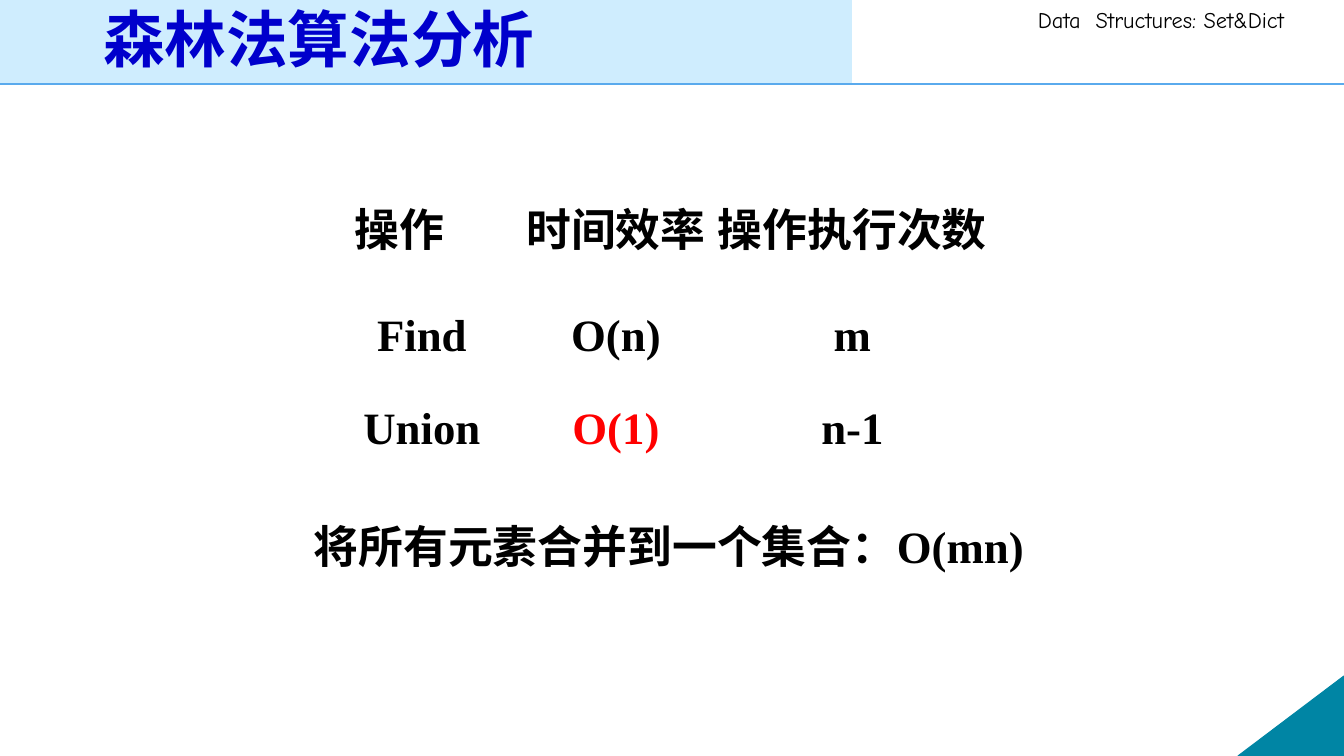
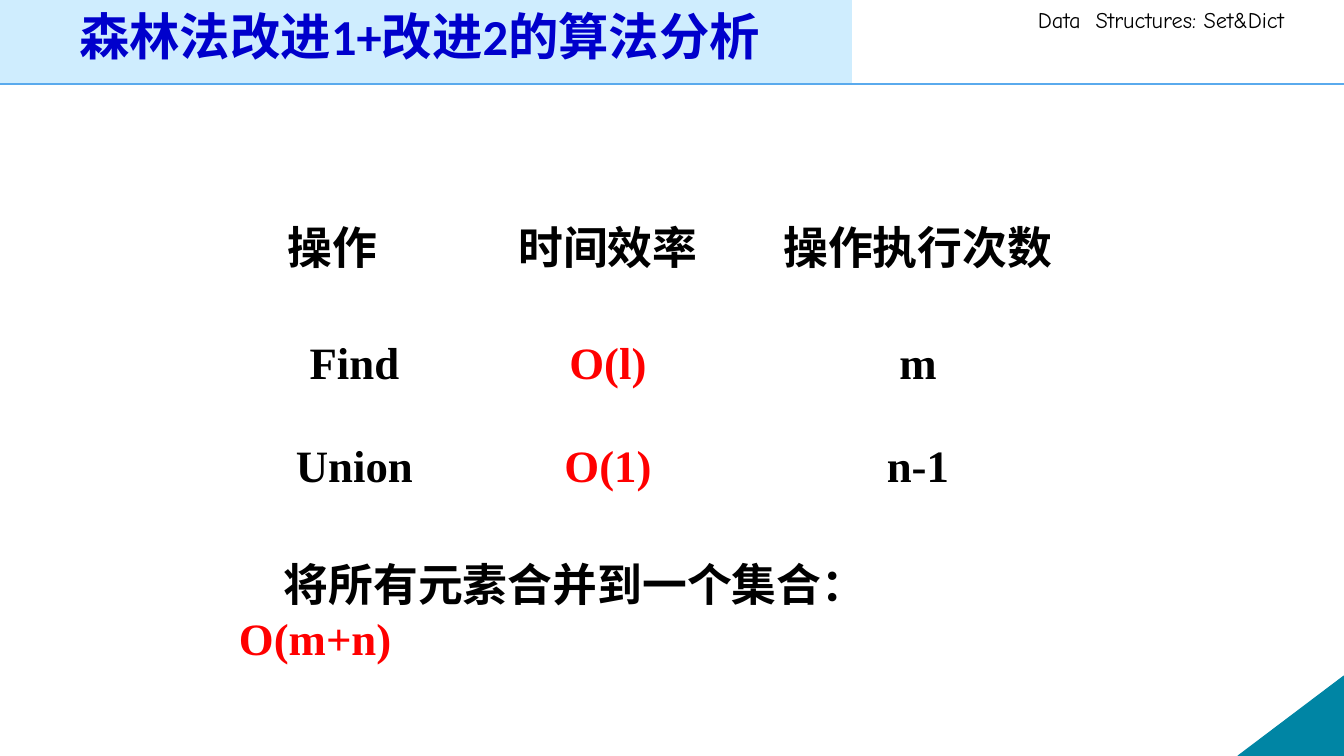
from pptx import Presentation
from pptx.dml.color import RGBColor
from pptx.enum.lang import MSO_LANGUAGE_ID as Language
from pptx.enum.shapes import MSO_CONNECTOR as Connector, MSO_SHAPE as Preset
from pptx.enum.text import MSO_ANCHOR as Anchor, MSO_AUTO_SIZE as AutoSize, PP_ALIGN as Align
from pptx.oxml.ns import qn
from pptx.util import Inches, Pt
from lxml.etree import SubElement

# Shared look
PX = Inches(1) / 100.8
SLIDE_W, SLIDE_H = 1344, 756
BLACK, WHITE, RED, TITLE_BLUE = "000000", "FFFFFF", "FF0000", "0000CC"
BAND, RULE, CORNER = "CFEDFE", "5AAAED", "0085A4"
TITLE_FONT, HEADER_FONT, BODY_FONT = "Calibri", "Comic Neue", "Times New Roman"
BODY_SIZE = 32
HEADER = "Data  Structures: Set&Dict"
TABLE_HEAD = ["操作　", "时间效率", "操作执行次数"]
CONCLUSION = "　将所有元素合并到一个集合："


def px(length):
    return round(length * PX)


def box_emu(box):
    return [px(length) for length in box]


def color(hex_value):
    return RGBColor.from_string(hex_value)


def format_run(run, size, name, hex_value, bold=True):
    font = run.font
    font.size, font.name, font.bold = Pt(size), name, bold
    font.color.rgb = color(hex_value)
    font.language_id = Language.SIMPLIFIED_CHINESE


def add_preset(slide, preset, box, hex_value):
    shape = slide.shapes.add_shape(preset, *box_emu(box))
    shape.shadow.inherit = False
    shape.fill.solid()
    shape.fill.fore_color.rgb = color(hex_value)
    shape.line.fill.background()
    return shape


def add_text(slide, box):
    frame = slide.shapes.add_textbox(*box_emu(box)).text_frame
    frame.word_wrap = True
    return frame.paragraphs[0]


def add_frame(slide):
    # Rule under the title
    rule_y = px(84)
    rule = slide.shapes.add_connector(Connector.STRAIGHT, 0, rule_y, px(SLIDE_W), rule_y)
    rule.line.color.rgb = color(RULE)
    rule.line.width = Pt(1)
    SubElement(rule.element.spPr, qn("a:effectLst"))

    # Corner triangle
    width, height = 106, 80
    corner = add_preset(slide, Preset.RIGHT_TRIANGLE,
                        (SLIDE_W - width, SLIDE_H - height, width, height), CORNER)
    corner.element.spPr.find(qn("a:xfrm")).set("flipH", "1")
    corner.line.color.rgb = color(CORNER)
    corner.line.width = Pt(0.75)

    # Course name and title band
    paragraph = add_text(slide, (1028, 1, 316, 37))
    paragraph.text = HEADER
    format_run(paragraph.runs[0], 16, HEADER_FONT, BLACK, bold=False)
    add_preset(slide, Preset.RECTANGLE, (-3, -7, 855, 90), BAND)


def add_title(slide, text, box, size):
    title = slide.shapes.title
    title.left, title.top, title.width, title.height = box_emu(box)
    title.element.getparent().append(title.element)  # in front of the band
    frame = title.text_frame
    frame.text = text
    frame.auto_size = AutoSize.NONE
    frame.vertical_anchor = Anchor.MIDDLE
    paragraph = frame.paragraphs[0]
    paragraph.alignment = Align.LEFT
    paragraph.line_spacing = 0.9
    format_run(paragraph.runs[0], size, TITLE_FONT, TITLE_BLUE)


def add_borders(cell):
    properties = cell._tc.get_or_add_tcPr()
    for side in ("a:lnL", "a:lnR", "a:lnT", "a:lnB"):
        line = SubElement(properties, qn(side), w=str(Pt(0.5)))
        fill = SubElement(line, qn("a:solidFill"))
        SubElement(fill, qn("a:srgbClr"), val=WHITE)


def fill_cell(cell, text, hex_value):
    cell.text = text
    cell.vertical_anchor = Anchor.MIDDLE
    cell.margin_left = cell.margin_right = cell.margin_top = px(1)
    cell.margin_bottom = 0
    add_borders(cell)
    cell.fill.background()
    paragraph = cell.text_frame.paragraphs[0]
    paragraph.alignment = Align.CENTER
    format_run(paragraph.runs[0], BODY_SIZE, BODY_FONT, hex_value)


def add_cost_table(slide, origin, widths, heights, find_cost, red_costs):
    rows = [TABLE_HEAD, ["Find", find_cost, "m"], ["Union", "O(1)", "n-1"]]
    box = (*origin, sum(widths), sum(heights))
    table = slide.shapes.add_table(len(rows), len(widths), *box_emu(box)).table
    table.first_row = table.horz_banding = False
    for column, width in zip(table.columns, widths):
        column.width = px(width)
    for row, height, texts in zip(table.rows, heights, rows):
        row.height = px(height)
        for cell, text in zip(row.cells, texts):
            fill_cell(cell, text, RED if text in red_costs else BLACK)


def add_conclusion(slide, box, total_cost, cost_color):
    paragraph = add_text(slide, box)
    for text, hex_value in ((CONCLUSION, BLACK), (total_cost, cost_color)):
        run = paragraph.add_run()
        run.text = text
        format_run(run, BODY_SIZE, BODY_FONT, hex_value)


def add_analysis_slide(presentation, title, table, conclusion):
    slide = presentation.slides.add_slide(presentation.slide_layouts[5])
    add_frame(slide)
    add_title(slide, *title)
    add_cost_table(slide, *table)
    add_conclusion(slide, *conclusion)


def main():
    presentation = Presentation()
    presentation.slide_width, presentation.slide_height = px(SLIDE_W), px(SLIDE_H)
    # Plain forest
    add_analysis_slide(
        presentation,
        title=("森林法算法分析", (93, 0, 857, 85), 44),
        table=((325, 164), (194, 194, 279), (125, 93, 93), "O(n)", ["O(1)"]),
        conclusion=((259, 514, 796, 65), "O(mn)", BLACK))
    # Improved forest
    add_analysis_slide(
        presentation,
        title=("森林法改进1+改进2的算法分析", (69, -10, 932, 98), 36),
        table=((228, 180), (253, 254, 366), (128, 111, 95), "O(l)", ["O(l)", "O(1)"]),
        conclusion=((229, 552, 800, 65), "O(m+n)", RED))
    presentation.save("out.pptx")


if __name__ == "__main__":
    main()
